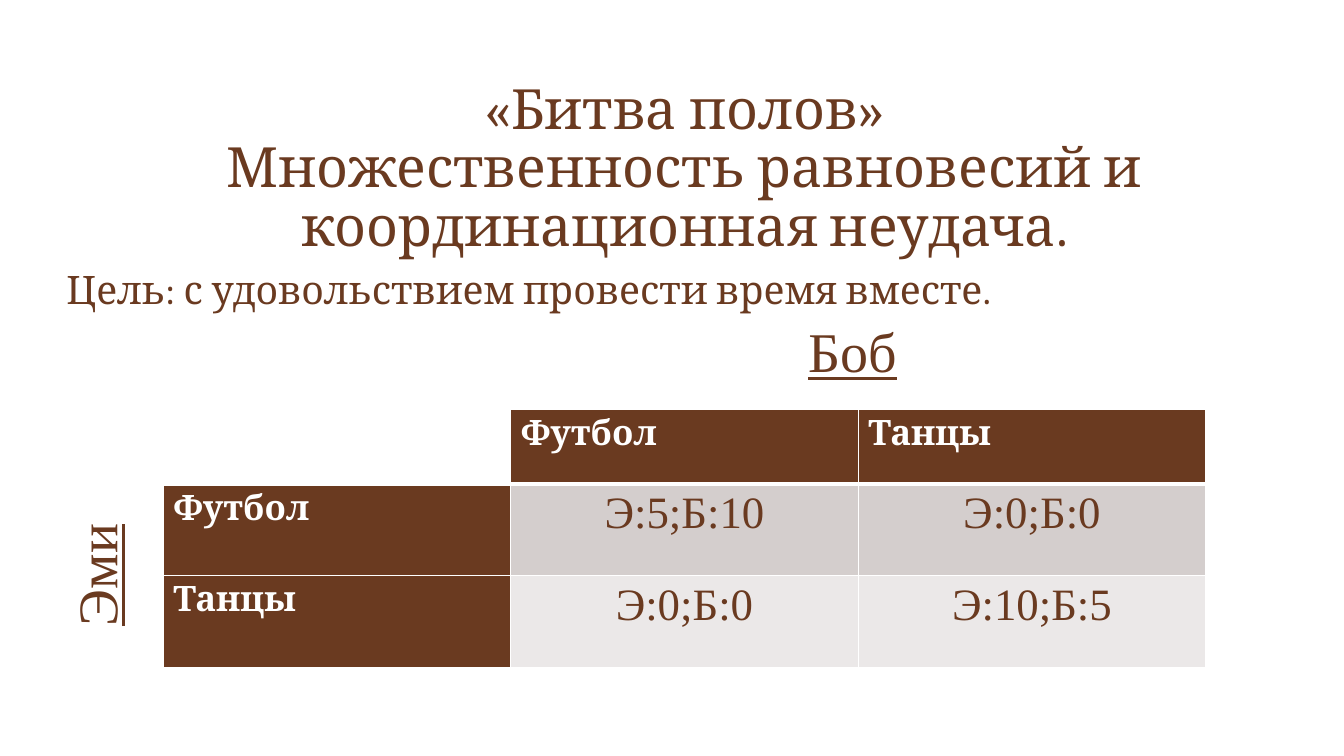
from pptx import Presentation, util as u
from pptx.dml.color import RGBColor
from pptx.enum import text
from lxml import etree

BROWN, WHITE = "6A3A20", "FFFFFF"
SERIF, TIMES = "Cambria", "Times New Roman"
ALIGN = text.PP_ALIGN


def color(code):
    return RGBColor.from_string(code)


class Page:
    def __init__(self, deck):
        self.slide = deck.slides.add_slide(deck.slide_layouts[5])

    def style(self, para, size, face, ink=BROWN, bold=False, line=False,
              align=ALIGN.LEFT):
        font = para.font
        font.size, font.name = u.Pt(size), face
        font.bold, font.underline = bold, line
        font.color.rgb = color(ink)
        para.alignment = align

    def title(self, words, box, size):
        shape = self.slide.shapes.title
        shape.left, shape.top, shape.width, shape.height = map(u.Inches, box)
        frame = shape.text_frame
        frame.text = words
        frame.auto_size = text.MSO_AUTO_SIZE.NONE
        frame.vertical_anchor = text.MSO_ANCHOR.BOTTOM
        frame.margin_bottom = u.Inches(0.71)
        para = frame.paragraphs[0]
        para.line_spacing = 0.88
        self.style(para, size, SERIF, align=ALIGN.CENTER)

    def label(self, words, box, size, face, **look):
        frame = self.slide.shapes.add_textbox(*map(u.Inches, box)).text_frame
        frame.word_wrap = True
        frame.text = words
        self.style(frame.paragraphs[0], size, face, **look)
        return frame

    def border(self, cell, base):
        props = cell._tc.get_or_add_tcPr()
        for spot, (side, width) in enumerate(
                [("L", 1), ("R", 1), ("T", 1), ("B", base)]):
            line = etree.Element(props.tag.replace("tcPr", "ln" + side),
                                 w=str(u.Pt(width)))
            fill = etree.SubElement(line, props.tag.replace("tcPr", "solidFill"))
            etree.SubElement(fill, props.tag.replace("tcPr", "srgbClr"), val=WHITE)
            props.insert(spot, line)

    def table(self, rows, box, highs, tints):
        grid = self.slide.shapes.add_table(
            len(rows), len(rows[0]), *map(u.Inches, box)).table
        for r, row in enumerate(rows):
            grid.rows[r].height = u.Inches(highs[r])
            for c, words in enumerate(row):
                cell = grid.cell(r, c)
                cell.text = words
                head = r == 0 or c == 0
                tint = (BROWN if words else WHITE) if head else tints[r - 1]
                cell.fill.solid()
                cell.fill.fore_color.rgb = color(tint)
                self.border(cell, 3 if r == 0 else 1)
                para = cell.text_frame.paragraphs[0]
                if head:
                    self.style(para, 25, SERIF, WHITE, bold=True)
                else:
                    self.style(para, 32, TIMES, align=ALIGN.CENTER)


def main():
    deck = Presentation()
    deck.slide_width, deck.slide_height = u.Inches(13.33), u.Inches(7.5)
    page = Page(deck)
    page.title("«Битва полов»\vМножественность равновесий и координационная неудача.",
               (1.46, 0.44, 10.66, 2.83), 39.6)
    goal = page.label("Цель: с удовольствием провести время вместе.",
                      (0.56, 2.64, 10.81, 0.78), 28, SERIF, align=ALIGN.JUSTIFY)
    goal.paragraphs[0].line_spacing = 0.9
    page.table([["", "Футбол", "Танцы"],
                ["Футбол", "Э:5;Б:10", "Э:0;Б:0"],
                ["Танцы", "Э:0;Б:0", "Э:10;Б:5"]],
               (1.62, 4.06, 10.34, 2.57), (0.74, 0.91, 0.91),
               ("D4CECD", "EBE8E8"))
    amy = page.label("Эми", (0.56, 4.85, 0.88, 1.46), 40, TIMES, line=True)
    amy._txBody.bodyPr.set("vert", "vert270")
    page.label("Боб", (7.92, 3.09, 1.57, 0.77), 40, TIMES, line=True)
    deck.save("out.pptx")


if __name__ == "__main__":
    main()
